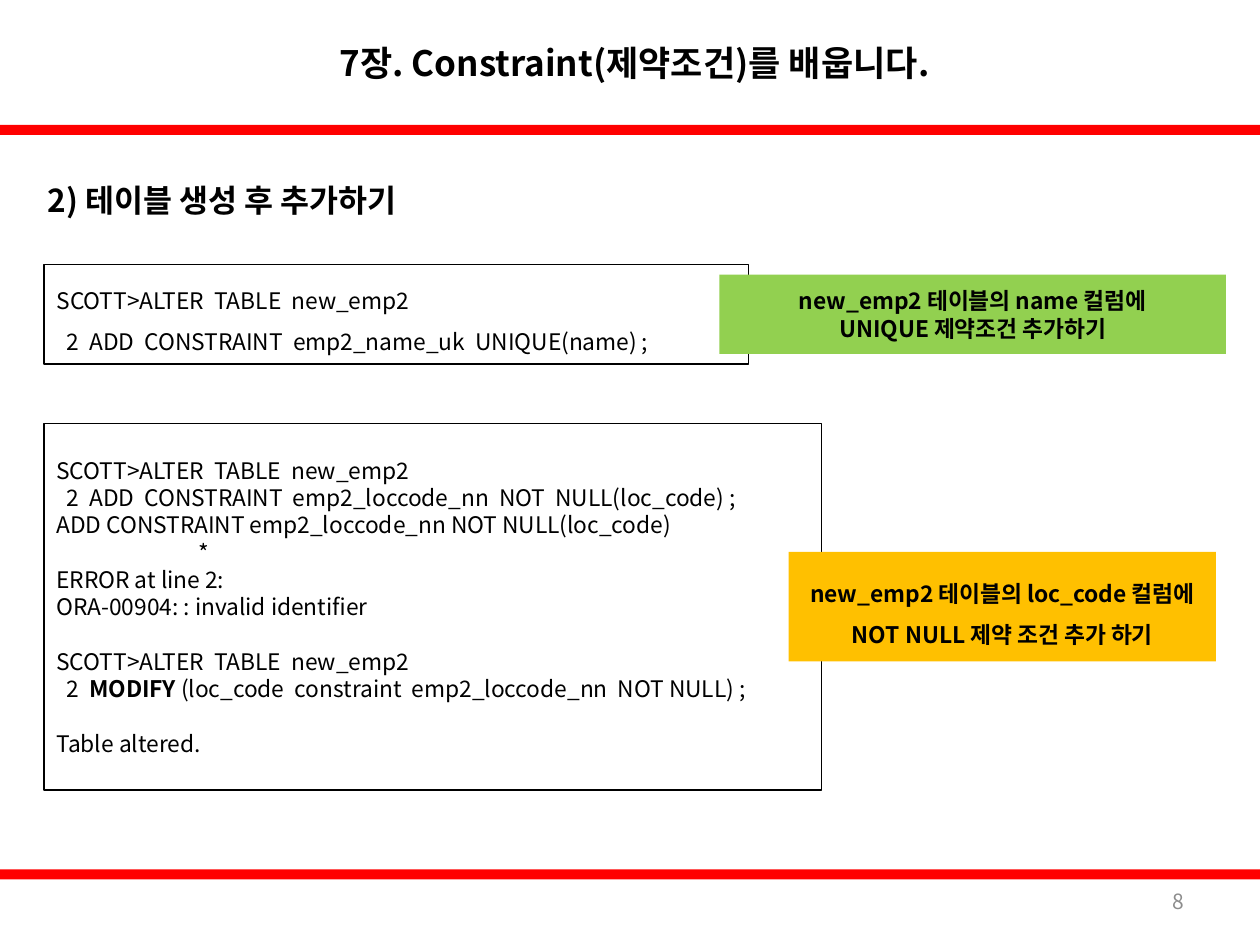
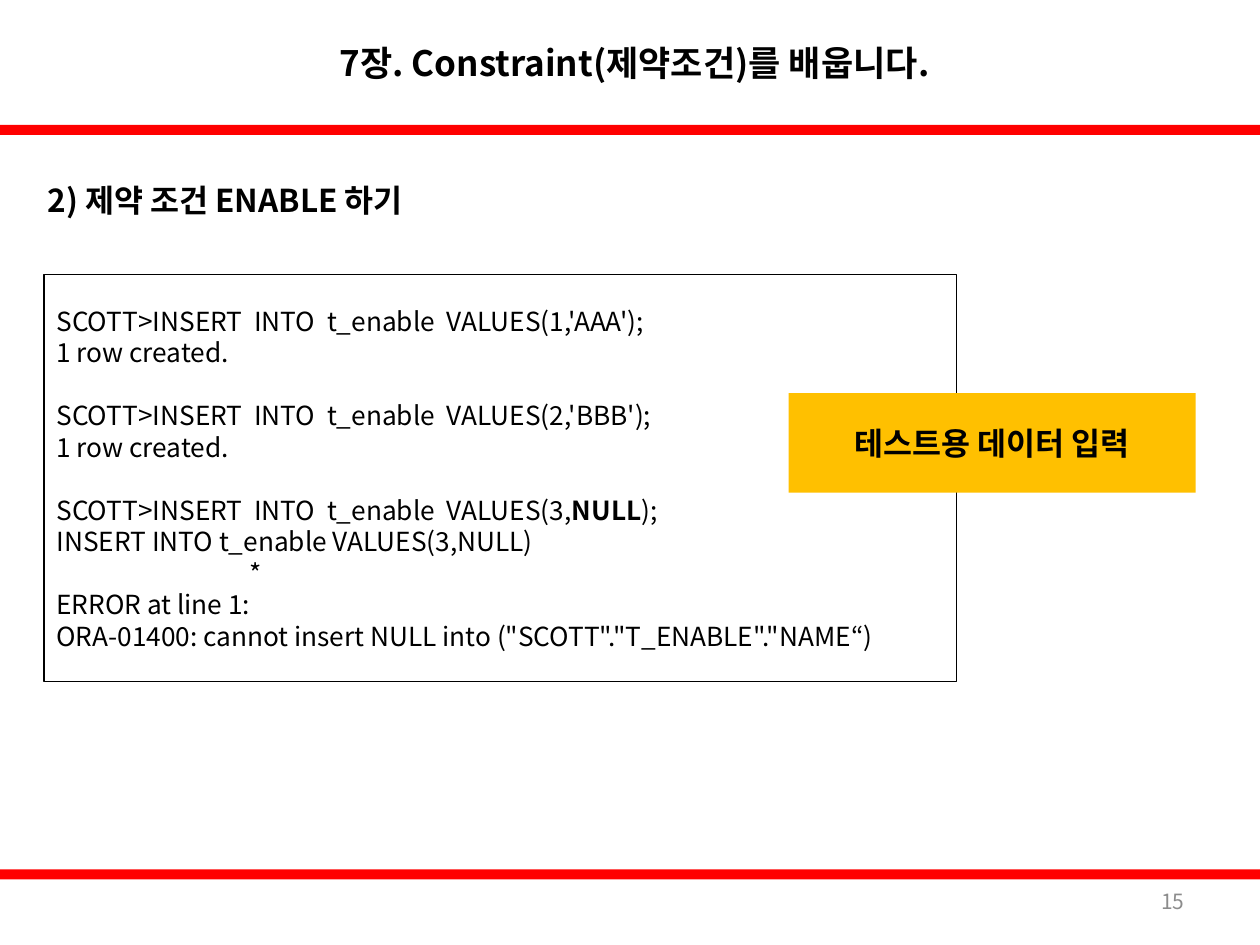
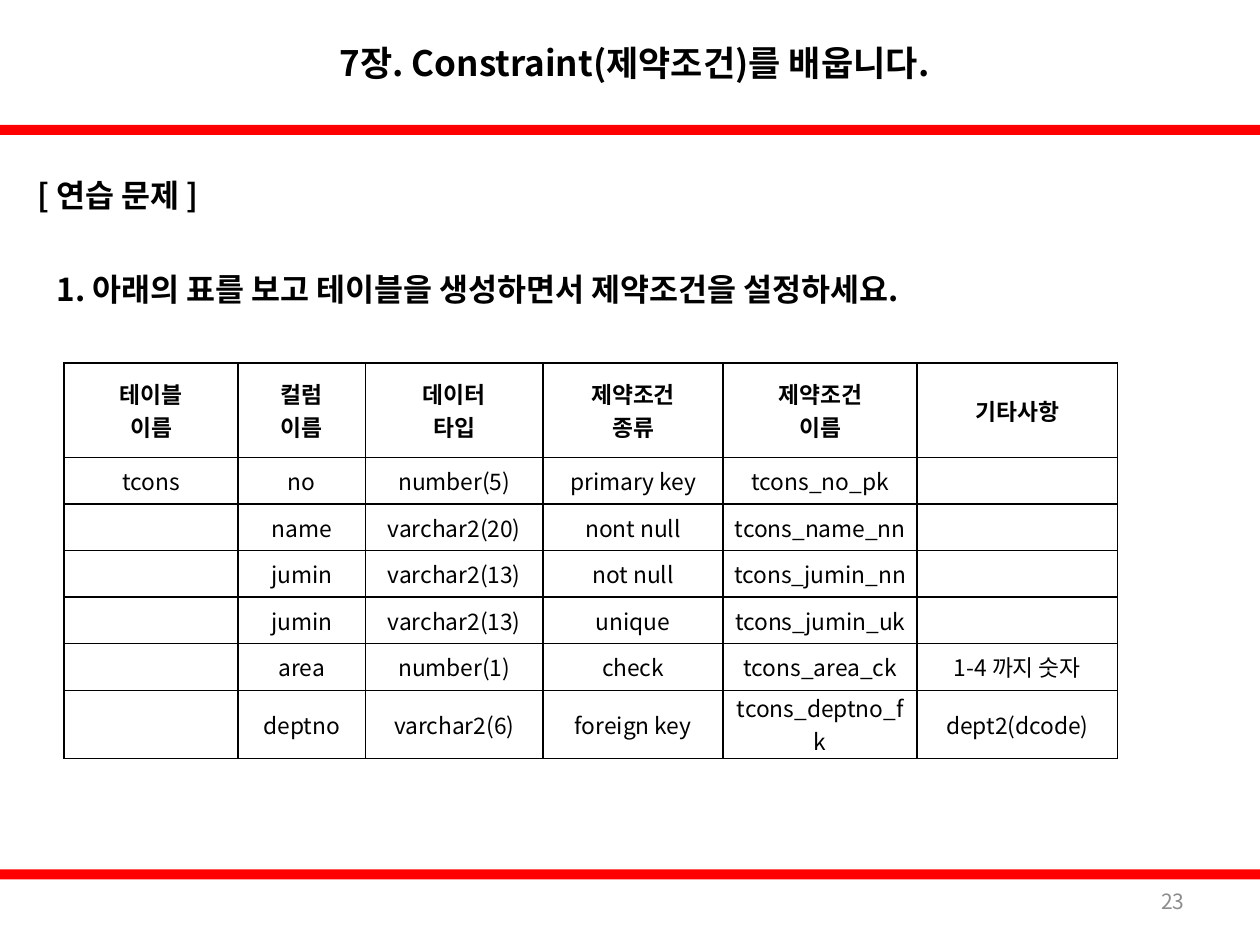
"""Builds three lecture slides on database constraints."""
from lxml import etree
from pptx import Presentation, util as u
from pptx.dml.color import RGBColor
from pptx.enum import shapes, text
from pptx.oxml.ns import qn

WIDTH, HEIGHT = 10, 7.5
FONT = "Noto Sans CJK KR"
BLACK, WHITE, RED, GREY = "000000", "FFFFFF", "FF0000", "8C8C8C"
GREEN, AMBER = "92D050", "FFC000"
LEFT, CENTER = text.PP_ALIGN.LEFT, text.PP_ALIGN.CENTER
RIGHT, JUSTIFY = text.PP_ALIGN.RIGHT, text.PP_ALIGN.JUSTIFY
SINGLE, WIDE = 1.2, 1.8
STEP = 0.08

CHAPTER = "7장. Constraint(제약조건)를 배웁니다."
BAND_TOPS = (0.99, 6.9)

SLIDES = [
    {
        "number": 8,
        "headings": [((0.28, 1.31, 3.54, 0.55), "2) 테이블 생성 후 추가하기")],
        "panels": [
            {"at": (0.35, 2.1, 5.59, 0.79), "size": 13, "spacing": WIDE, "code": [
                (0, 0, ["SCOTT>ALTER  TABLE  new_emp2"]),
                (0, STEP, ["2  ADD  CONSTRAINT  emp2_name_uk  UNIQUE(name) ;"]),
            ]},
            {"at": (5.71, 2.18, 4.02, 0.63), "size": 13, "spacing": SINGLE, "fill": GREEN,
             "label": ["new_emp2 테이블의 name 컬럼에", "UNIQUE 제약조건 추가하기"]},
            {"at": (0.35, 3.36, 6.17, 2.91), "size": 13, "spacing": SINGLE, "code": [
                (0, 0, ["SCOTT>ALTER  TABLE  new_emp2"]),
                (0, STEP, ["2  ADD  CONSTRAINT  emp2_loccode_nn  NOT  NULL(loc_code) ;"]),
                (0, 0, ["ADD CONSTRAINT emp2_loccode_nn NOT NULL(loc_code)"]),
                (0, 1.13, ["*"]),
                (0, 0, ["ERROR at line 2:"]),
                (0, 0, ["ORA-00904: : invalid identifier"]),
                (1, 0, ["SCOTT>ALTER  TABLE  new_emp2"]),
                (0, STEP, ["2  ", "MODIFY",
                           " (loc_code  constraint  emp2_loccode_nn  NOT NULL) ;"]),
                (1, 0, ["Table altered."]),
            ]},
            {"at": (6.26, 4.38, 3.39, 0.87), "size": 13, "spacing": WIDE, "fill": AMBER,
             "label": ["new_emp2 테이블의 loc_code 컬럼에 NOT NULL 제약 조건 추가 하기"]},
        ],
    },
    {
        "number": 15,
        "headings": [((0.28, 1.31, 8.82, 0.55), "2) 제약 조건 ENABLE 하기")],
        "panels": [
            {"at": (0.35, 2.18, 7.24, 3.23), "size": 15, "spacing": SINGLE, "code": [
                (0, 0, ["SCOTT>INSERT  INTO  t_enable  VALUES(1,'AAA');"]),
                (0, 0, ["1 row created."]),
                (1, 0, ["SCOTT>INSERT  INTO  t_enable  VALUES(2,'BBB');"]),
                (0, 0, ["1 row created."]),
                (1, 0, ["SCOTT>INSERT  INTO  t_enable  VALUES(3,", "NULL", ");"]),
                (0, 0, ["INSERT INTO t_enable VALUES(3,NULL)"]),
                (0, 1.53, ["*"]),
                (0, 0, ["ERROR at line 1:"]),
                (0, 0, ['ORA-01400: cannot insert NULL into ("SCOTT"."T_ENABLE"."NAME“)']),
            ]},
            {"at": (6.26, 3.12, 3.23, 0.79), "size": 18, "spacing": None, "fill": AMBER,
             "label": ["테스트용 데이터 입력"]},
        ],
    },
    {
        "number": 23,
        "headings": [
            ((0.2, 1.23, 3.07, 0.63), "[ 연습 문제 ]"),
            ((0.35, 2.02, 8.74, 0.55),
             "1. 아래의 표를 보고 테이블을 생성하면서 제약조건을 설정하세요."),
        ],
        "table": [
            ("테이블\n이름", "컬럼\n이름", "데이터\n타입", "제약조건\n종류", "제약조건\n이름", "기타사항"),
            ("tcons", "no", "number(5)", "primary key", "tcons_no_pk", ""),
            ("", "name", "varchar2(20)", "nont null", "tcons_name_nn", ""),
            ("", "jumin", "varchar2(13)", "not null", "tcons_jumin_nn", ""),
            ("", "jumin", "varchar2(13)", "unique", "tcons_jumin_uk", ""),
            ("", "area", "number(1)", "check", "tcons_area_ck", "1-4 까지 숫자"),
            ("", "deptno", "varchar2(6)", "foreign key", "tcons_deptno_fk", "dept2(dcode)"),
        ],
    },
]
TABLE_AT = (0.51, 2.88)
COLUMN_WIDTHS = (1.38, 1.01, 1.41, 1.43, 1.54, 1.59)
HEADER_HEIGHT, ROW_HEIGHT, WRAPPED_HEIGHT = 0.75, 0.37, 0.54


def color(value):
    return RGBColor.from_string(value)


def inches(values):
    return [u.Inches(value) for value in values]


def paint(target, value):
    target.fill.solid()
    target.fill.fore_color.rgb = color(value)


def style_paragraph(paragraph, size, align, bold=False, ink=BLACK, spacing=None):
    paragraph.alignment = align
    if spacing:
        paragraph.line_spacing = u.Pt(size * spacing)
    for run in paragraph.runs:
        font = run.font
        font.name, font.size, font.color.rgb = FONT, u.Pt(size), color(ink)
        font.bold = bold if font.bold is None else font.bold
        east_asian = etree.SubElement(font._element, qn("a:ea"))
        east_asian.set("typeface", FONT)


def write_lines(frame, lines, size, align, **style):
    frame.word_wrap = True
    frame.vertical_anchor = text.MSO_ANCHOR.MIDDLE
    frame.text = "\n".join(lines)
    for paragraph in frame.paragraphs:
        style_paragraph(paragraph, size, align, **style)


def write_code(frame, lines, size, spacing):
    write_lines(frame, [""] * len(lines), size, JUSTIFY)
    for paragraph, (blanks, indent, parts) in zip(frame.paragraphs, lines):
        for index, part in enumerate(parts):
            run = paragraph.add_run()
            run.text = part
            run.font.bold = index == 1
        style_paragraph(paragraph, size, JUSTIFY, spacing=spacing)
        paragraph.space_before = u.Pt(blanks * size * spacing)
        paragraph._p.get_or_add_pPr().set("marL", str(u.Inches(indent)))


def add_text(slide, at, line, size, align=LEFT, **style):
    box = slide.shapes.add_textbox(*inches(at))
    write_lines(box.text_frame, [line], size, align, **style)


def add_rectangle(slide, at, fill, outline=None):
    shape = slide.shapes.add_shape(shapes.MSO_SHAPE.RECTANGLE, *inches(at))
    shape.shadow.inherit = False
    paint(shape, fill)
    if outline:
        shape.line.color.rgb = color(outline)
        shape.line.width = u.Pt(0.75)
    else:
        shape.line.fill.background()
    return shape


def add_panel(slide, panel):
    size, spacing = panel["size"], panel["spacing"]
    if "code" in panel:
        shape = add_rectangle(slide, panel["at"], WHITE, BLACK)
        write_code(shape.text_frame, panel["code"], size, spacing)
    else:
        shape = add_rectangle(slide, panel["at"], panel["fill"])
        write_lines(shape.text_frame, panel["label"], size, CENTER, bold=True, spacing=spacing)


def add_borders(cell):
    properties = cell._tc.get_or_add_tcPr()
    for index, side in enumerate(("lnL", "lnR", "lnT", "lnB")):
        line = etree.Element(qn("a:" + side), w=str(u.Pt(1)))
        fill = etree.SubElement(line, qn("a:solidFill"))
        etree.SubElement(fill, qn("a:srgbClr"), val=BLACK)
        properties.insert(index, line)


def add_grid(slide, rows):
    heights = [HEADER_HEIGHT] + [ROW_HEIGHT] * (len(rows) - 2) + [WRAPPED_HEIGHT]
    extent = (sum(COLUMN_WIDTHS), sum(heights))
    table = slide.shapes.add_table(
        len(rows), len(COLUMN_WIDTHS), *inches(TABLE_AT + extent)).table
    table.first_row = table.horz_banding = False
    for column, width in zip(table.columns, COLUMN_WIDTHS):
        column.width = u.Inches(width)
    for index, (row, height, values) in enumerate(zip(table.rows, heights, rows)):
        row.height = u.Inches(height)
        for cell, value in zip(row.cells, values):
            cell.margin_left = cell.margin_right = u.Inches(0.07)
            cell.margin_top = cell.margin_bottom = 0
            write_lines(cell.text_frame, value.split("\n"), 13, CENTER, bold=index == 0)
            cell.vertical_anchor = text.MSO_ANCHOR.MIDDLE
            paint(cell, WHITE)
            add_borders(cell)


def add_frame(slide, number):
    for top in BAND_TOPS:
        add_rectangle(slide, (0, top, WIDTH, 0.08), RED)
    add_text(slide, (1.69, 0, 6.69, 0.99), CHAPTER, 20, CENTER, bold=True)
    add_text(slide, (7.17, 6.95, 2.33, 0.4), str(number), 12, RIGHT, ink=GREY)


def main():
    presentation = Presentation()
    presentation.slide_width, presentation.slide_height = inches((WIDTH, HEIGHT))
    for content in SLIDES:
        slide = presentation.slides.add_slide(presentation.slide_layouts[6])
        add_frame(slide, content["number"])
        for at, heading in content["headings"]:
            add_text(slide, at, heading, 18, bold=True)
        for panel in content.get("panels", []):
            add_panel(slide, panel)
        if "table" in content:
            add_grid(slide, content["table"])
    presentation.save("out.pptx")


if __name__ == "__main__":
    main()
